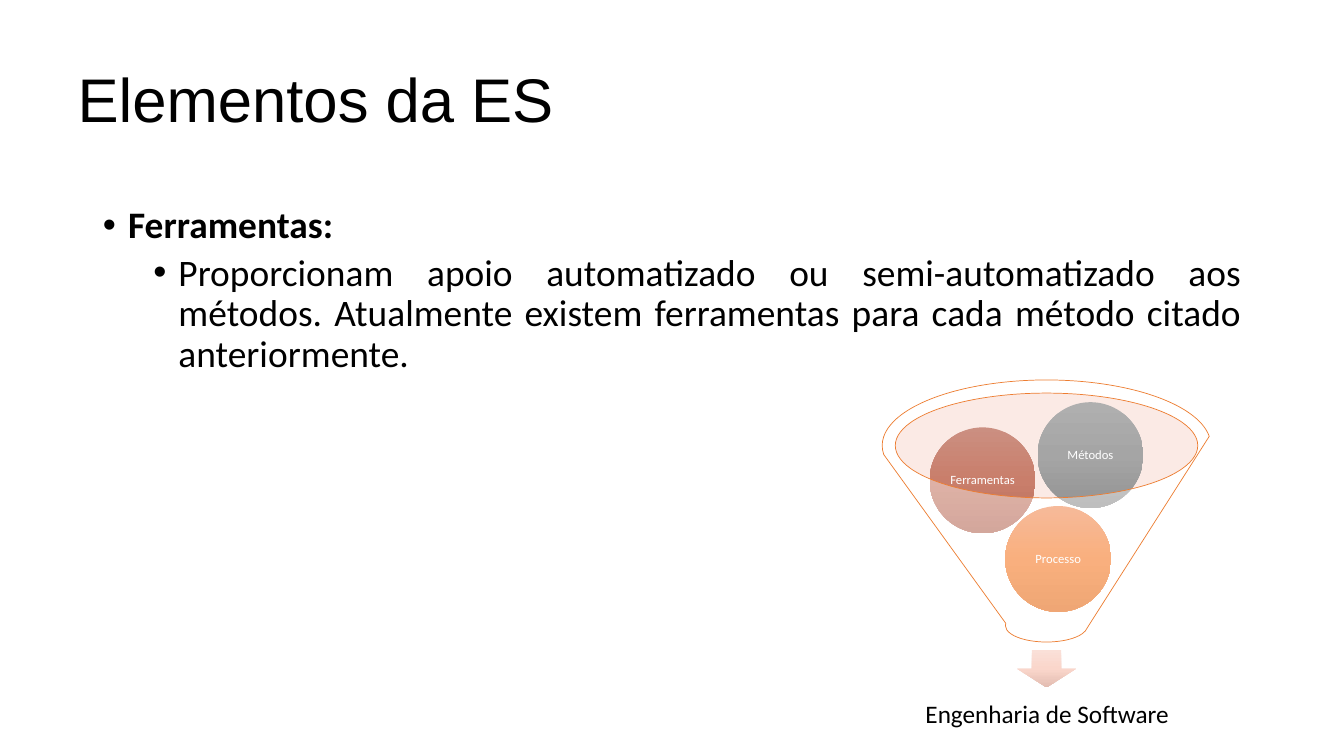
from dataclasses import dataclass

from lxml import etree
from pptx import Presentation
from pptx.dml.color import RGBColor
from pptx.enum.shapes import MSO_SHAPE as Shape
from pptx.enum.text import MSO_ANCHOR as Anchor, MSO_AUTO_SIZE as AutoSize, PP_ALIGN as Align
from pptx.oxml import parse_xml
from pptx.oxml.ns import nsdecls, qn
from pptx.util import Inches, Pt

# Content
TITLE = "Elementos da ES"
BULLETS = [  # text, level, bold, alignment, space before
    ("Ferramentas:", 0, True, Align.LEFT, 0),
    ("Proporcionam apoio automatizado ou semi-automatizado aos métodos. "
     "Atualmente existem ferramentas para cada método citado anteriormente.",
     1, False, Align.JUSTIFY, 5),
]
RESULT = "Engenharia de Software"
BALLS = [  # text, left, top, gradient colours
    ("Processo", 9.97, 5.02, ("F18C57", "F67B28", "E56C19")),
    ("Ferramentas", 9.22, 4.24, ("CB8F81", "C97E6B", "B76D5B")),
    ("Métodos", 10.29, 3.99, ("AFAFAF", "A5A5A5", "939393")),
]
BALL_SIZE = 1.05


@dataclass(frozen=True)
class Theme:
    title_font: str = "Arial"
    body_font: str = "Calibri"
    text: str = "000000"
    light: str = "FFFFFF"
    outline: str = "ED7D31"
    mouth: str = "F6CCBE"
    arrow: tuple = ("FAE0D8", "FAD6CB", "E2BCB1")
    opacity: int = 40
    title_size: float = 44
    body_size: float = 26.7
    result_size: float = 18
    ball_size: float = 9


THEME = Theme()


def place(shape, left, top, width, height):
    shape.left, shape.top = Inches(left), Inches(top)
    shape.width, shape.height = Inches(width), Inches(height)


def set_frame(shape, anchor, inset=None):
    frame = shape.text_frame
    frame.word_wrap = True
    frame.auto_size = AutoSize.NONE
    frame.vertical_anchor = anchor
    if inset is not None:
        frame.margin_left = frame.margin_right = Inches(inset)
        frame.margin_top = frame.margin_bottom = Inches(inset)
    return frame


def write(paragraph, text, size, color, font=THEME.body_font, bold=False,
          align=Align.CENTER, before=0):
    paragraph.alignment = align
    paragraph.line_spacing = 0.9
    paragraph.space_before = Pt(before)
    run = paragraph.add_run()
    run.text = text
    run.font.name, run.font.size, run.font.bold = font, Pt(size), bold
    run.font.color.rgb = RGBColor.from_string(color)


def add_bullet(paragraph, level):
    paragraph.level = level
    properties = paragraph._p.get_or_add_pPr()
    properties.set("marL", str(Inches(0.25 + 0.5 * level)))
    properties.set("indent", str(Inches(-0.25)))
    etree.SubElement(properties, qn("a:buFont"), typeface="Arial")
    etree.SubElement(properties, qn("a:buChar"), char="•")


def add_shape(slide, kind, left, top, width, height):
    shape = slide.shapes.add_shape(
        kind, Inches(left), Inches(top), Inches(width), Inches(height))
    shape.shadow.inherit = False
    shape.line.fill.background()
    return shape


def fill_translucent(shape, color):
    shape.fill.solid()
    shape.fill.fore_color.rgb = RGBColor.from_string(color)
    color_element = shape._element.spPr.find(qn("a:solidFill"))[0]
    etree.SubElement(color_element, qn("a:alpha"), val=str(THEME.opacity * 1000))


def fill_gradient(shape, colors):
    shape.fill.gradient()
    gradient = shape._element.spPr.find(qn("a:gradFill"))
    for child in list(gradient):
        gradient.remove(child)
    stops = "".join(
        f'<a:gs pos="{50000 * index}"><a:srgbClr val="{color}"/></a:gs>'
        for index, color in enumerate(colors))
    gradient.append(parse_xml(f'<a:gsLst {nsdecls("a")}>{stops}</a:gsLst>'))
    gradient.append(parse_xml(f'<a:lin {nsdecls("a")} ang="5400000" scaled="0"/>'))


def add_title_and_body(slide):
    title, body = slide.placeholders[0], slide.placeholders[1]
    place(title, 0.67, 0.39, 12, 1.25)
    write(set_frame(title, Anchor.MIDDLE).paragraphs[0], TITLE, THEME.title_size,
          THEME.text, font=THEME.title_font, align=Align.LEFT)

    place(body, 0.92, 2, 11.5, 4.76)
    frame = set_frame(body, Anchor.TOP)
    for index, (text, level, bold, align, before) in enumerate(BULLETS):
        paragraph = frame.add_paragraph() if index else frame.paragraphs[0]
        add_bullet(paragraph, level)
        write(paragraph, text, THEME.body_size, THEME.text,
              bold=bold, align=align, before=before)


def add_funnel(slide):
    # Mouth, arrow and result
    mouth = add_shape(slide, Shape.OVAL, 8.88, 3.9, 3, 1.04)
    fill_translucent(mouth, THEME.mouth)
    arrow = add_shape(slide, Shape.DOWN_ARROW, 10.09, 6.45, 0.58, 0.37)
    fill_gradient(arrow, THEME.arrow)
    result = slide.shapes.add_textbox(
        Inches(8.99), Inches(6.75), Inches(2.79), Inches(0.7))
    write(set_frame(result, Anchor.MIDDLE, 0.14).paragraphs[0],
          RESULT, THEME.result_size, THEME.text)

    # Balls inside the funnel
    for text, left, top, colors in BALLS:
        ball = add_shape(slide, Shape.OVAL, left, top, BALL_SIZE, BALL_SIZE)
        fill_gradient(ball, colors)
        write(set_frame(ball, Anchor.MIDDLE, 0.01).paragraphs[0],
              text, THEME.ball_size, THEME.light)

    # Translucent funnel in front
    funnel = add_shape(slide, Shape.FUNNEL, 8.75, 3.77, 3.26, 2.6)
    fill_translucent(funnel, THEME.light)
    funnel.line.color.rgb = RGBColor.from_string(THEME.outline)
    funnel.line.width = Pt(0.5)


def main():
    presentation = Presentation()
    presentation.slide_width, presentation.slide_height = Inches(13.33), Inches(7.5)
    slide = presentation.slides.add_slide(presentation.slide_layouts[1])
    add_title_and_body(slide)
    add_funnel(slide)
    presentation.save("out.pptx")


if __name__ == "__main__":
    main()
